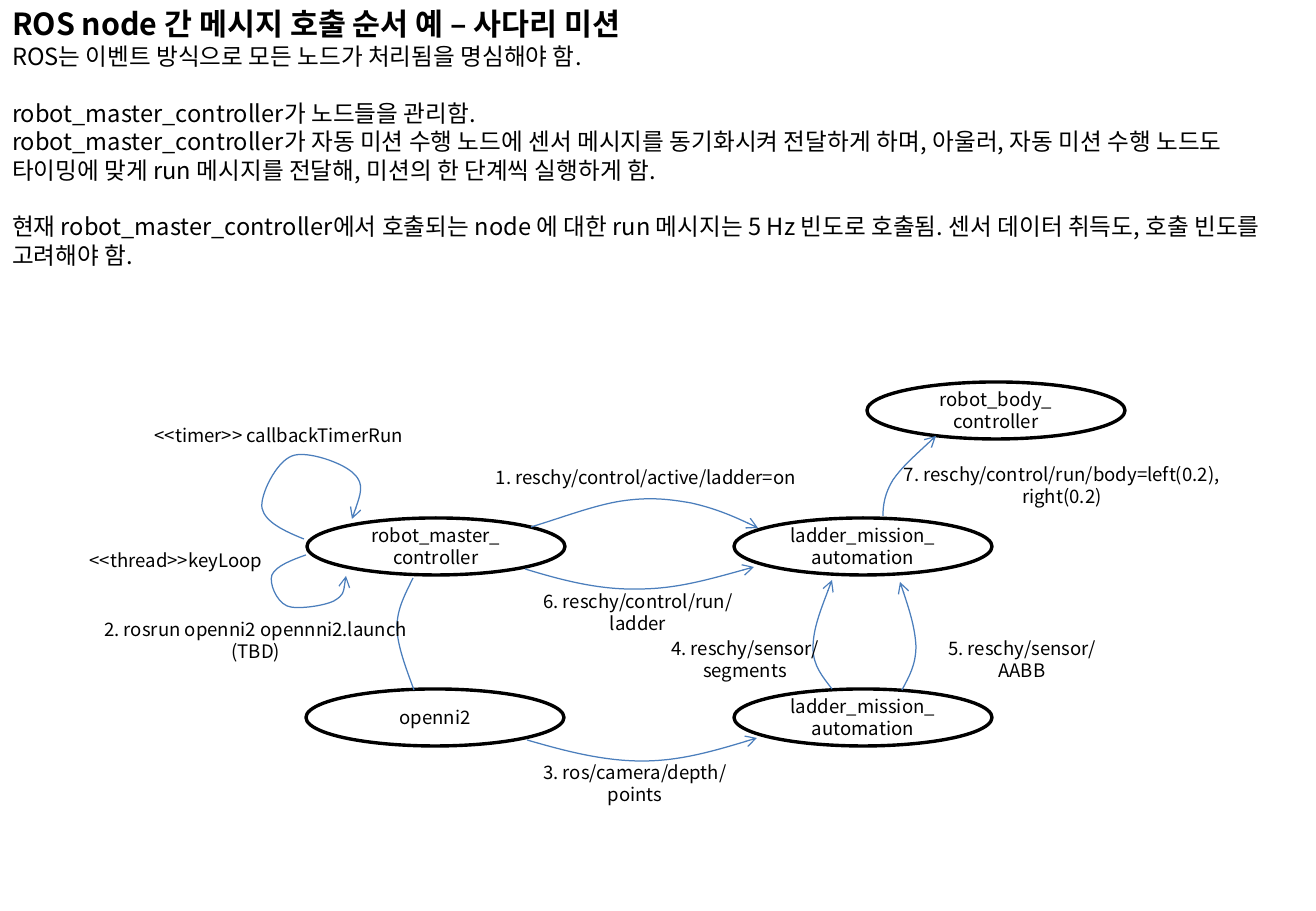
from lxml import etree
from pptx import Presentation
from pptx.dml.color import RGBColor
from pptx.enum.shapes import MSO_SHAPE
from pptx.enum.text import MSO_ANCHOR, PP_ALIGN
from pptx.oxml.ns import qn
from pptx.util import Emu, Pt

OVAL = MSO_SHAPE.OVAL
TOP, MIDDLE = MSO_ANCHOR.TOP, MSO_ANCHOR.MIDDLE
LEFT, CENTER = PP_ALIGN.LEFT, PP_ALIGN.CENTER
SCALE = 914400 / 121.5
FONT = "Noto Sans CJK KR"
BLACK, BLUE = "000000", "4B7EBC"

TITLE = "ROS node 간 메시지 호출 순서 예 – 사다리 미션"
BODY = [
    ("ROS는 이벤트 방식으로 모든 노드가 처리됨을 명심해야 함.", 0),
    ("robot_master_controller가 노드들을 관리함.", 1),
    ("robot_master_controller가 자동 미션 수행 노드에 센서 메시지를 동기화시켜 전달하게 하며, "
     "아울러, 자동 미션 수행 노드도 타이밍에 맞게 run 메시지를 전달해, 미션의 한 단계씩 실행하게 함.", 0),
    ("현재 robot_master_controller에서 호출되는 node 에 대한 run 메시지는 5 Hz 빈도로 호출됨. "
     "센서 데이터 취득도, 호출 빈도를 고려해야 함.", 1),
]
BODY_LINE, TITLE_LINE = 28.4, 36

NODE_SIZE = (258, 57)
NODES = [
    (["robot_master_", "controller"], 307, 518),
    (["ladder_mission_", "automation"], 734, 518),
    (["openni2"], 306, 689),
    (["ladder_mission_", "automation"], 734, 689),
    (["robot_body_", "controller"], 867, 382),
]
LABEL_WIDTH, LABEL_LINE = 360, 21.7
LABELS = [
    (["<<timer>> callbackTimerRun"], 279, 425),
    (["<<thread>>keyLoop"], 176, 550),
    (["1. reschy/control/active/ladder=on"], 646, 467),
    (["2. rosrun openni2 opennni2.launch", "(TBD)"], 256, 619),
    (["3. ros/camera/depth/", "points"], 635, 762),
    (["4. reschy/sensor/", "segments"], 745, 638),
    (["5. reschy/sensor/", "AABB"], 1022, 638),
    (["6. reschy/control/run/", "ladder"], 638, 591),
    (["7. reschy/control/run/body=left(0.2),", "right(0.2)"], 1062, 464),
]
ARROW_CURVES = [
    [(531, 527), (564, 517), (595, 505), (622, 501), (649, 497), (668, 499), (691, 503),
     (713, 508), (736, 517), (758, 528)],
    [(525, 569), (561, 580), (599, 590), (638, 589), (676, 589), (714, 578), (754, 567)],
    [(527, 740), (565, 751), (603, 761), (642, 761), (679, 761), (718, 750), (757, 738)],
    [(832, 689), (823, 677), (813, 666), (813, 648), (813, 629), (823, 604), (832, 580)],
    [(902, 690), (909, 677), (916, 665), (916, 646), (915, 628), (908, 605), (900, 582)],
    [(883, 516), (883, 505), (885, 493), (893, 480), (902, 467), (919, 452), (936, 436)],
    [(304, 539), (284, 531), (265, 522), (262, 508), (260, 495), (276, 462), (292, 456),
     (306, 450), (344, 463), (354, 474), (365, 484), (358, 502), (352, 519)],
    [(306, 555), (292, 560), (276, 566), (272, 575), (269, 583), (276, 601), (287, 606),
     (296, 610), (324, 606), (334, 601), (344, 595), (345, 586), (346, 576)],
]
PLAIN_CURVES = [
    [(413, 578), (406, 593), (397, 608), (397, 627), (397, 645), (406, 668), (414, 690)],
]


def px(value):
    return Emu(round(value * SCALE))


def color(value):
    return RGBColor.from_string(value)


def add_text(frame, text, first=False, size=11, bold=False, align=CENTER, line=LABEL_LINE, before=0):
    paragraph = frame.paragraphs[0] if first else frame.add_paragraph()
    paragraph.alignment = align
    paragraph.line_spacing = px(line)
    paragraph.space_before = px(before)
    run = paragraph.add_run()
    run.text = text
    run.font.name, run.font.size, run.font.bold = FONT, Pt(size), bold
    run.font.color.rgb = color(BLACK)
    east_asian = etree.SubElement(run.font._element, qn("a:ea"))
    east_asian.set("typeface", FONT)


def prepare_frame(shape, anchor, inset):
    frame = shape.text_frame
    frame.word_wrap, frame.vertical_anchor = True, anchor
    frame.margin_left = frame.margin_right = px(inset)
    frame.margin_top = frame.margin_bottom = 0
    return frame


def add_lines(frame, lines):
    for index, text in enumerate(lines):
        add_text(frame, text, first=index == 0)


def add_curve(slide, points, arrow):
    builder = slide.shapes.build_freeform(*points[0], scale=SCALE)
    builder.add_line_segments(points[1:], close=False)
    shape = builder.convert_to_shape()
    shape.shadow.inherit = False
    shape.fill.background()
    shape.line.color.rgb, shape.line.width = color(BLUE), Pt(0.75)
    segments = list(shape._element.iter(qn("a:lnTo")))
    for start in range(0, len(segments), 3):
        curve = etree.Element(qn("a:cubicBezTo"))
        segments[start].addprevious(curve)
        for segment in segments[start:start + 3]:
            curve.append(segment[0])
            segment.getparent().remove(segment)
    if arrow:
        etree.SubElement(shape.line._get_or_add_ln(), qn("a:tailEnd"), type="arrow")


def main():
    """Build the slide of ROS message calls and save it."""
    presentation = Presentation()
    presentation.slide_width, presentation.slide_height = px(1316), px(911)
    slide = presentation.slides.add_slide(presentation.slide_layouts[6])

    box = slide.shapes.add_textbox(0, px(6), px(1316), px(266))
    frame = prepare_frame(box, TOP, 12)
    add_text(frame, TITLE, first=True, size=18, bold=True, align=LEFT, line=TITLE_LINE)
    for text, gap in BODY:
        add_text(frame, text, size=14, align=LEFT, line=BODY_LINE, before=gap * BODY_LINE)

    for lines, left, top in NODES:
        node = slide.shapes.add_shape(OVAL, px(left), px(top), *map(px, NODE_SIZE))
        node.shadow.inherit = False
        node.fill.background()
        node.line.color.rgb, node.line.width = color(BLACK), Pt(2)
        add_lines(prepare_frame(node, MIDDLE, 0), lines)

    for points in ARROW_CURVES:
        add_curve(slide, points, True)
    for points in PLAIN_CURVES:
        add_curve(slide, points, False)

    for lines, center, top in LABELS:
        label = slide.shapes.add_textbox(px(center - LABEL_WIDTH / 2), px(top),
                                         px(LABEL_WIDTH), px(LABEL_LINE * len(lines)))
        add_lines(prepare_frame(label, TOP, 0), lines)

    presentation.save("out.pptx")


main()
